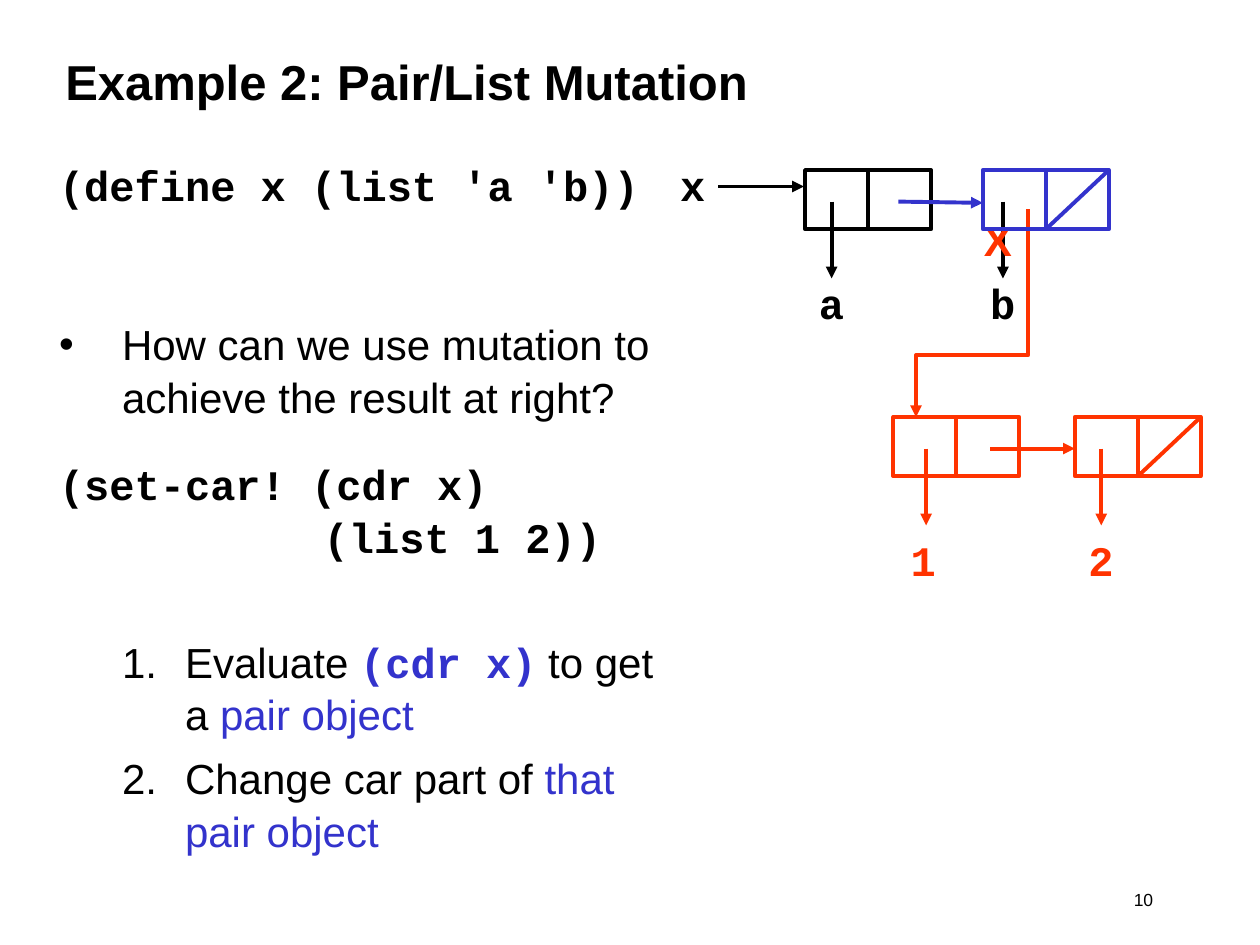
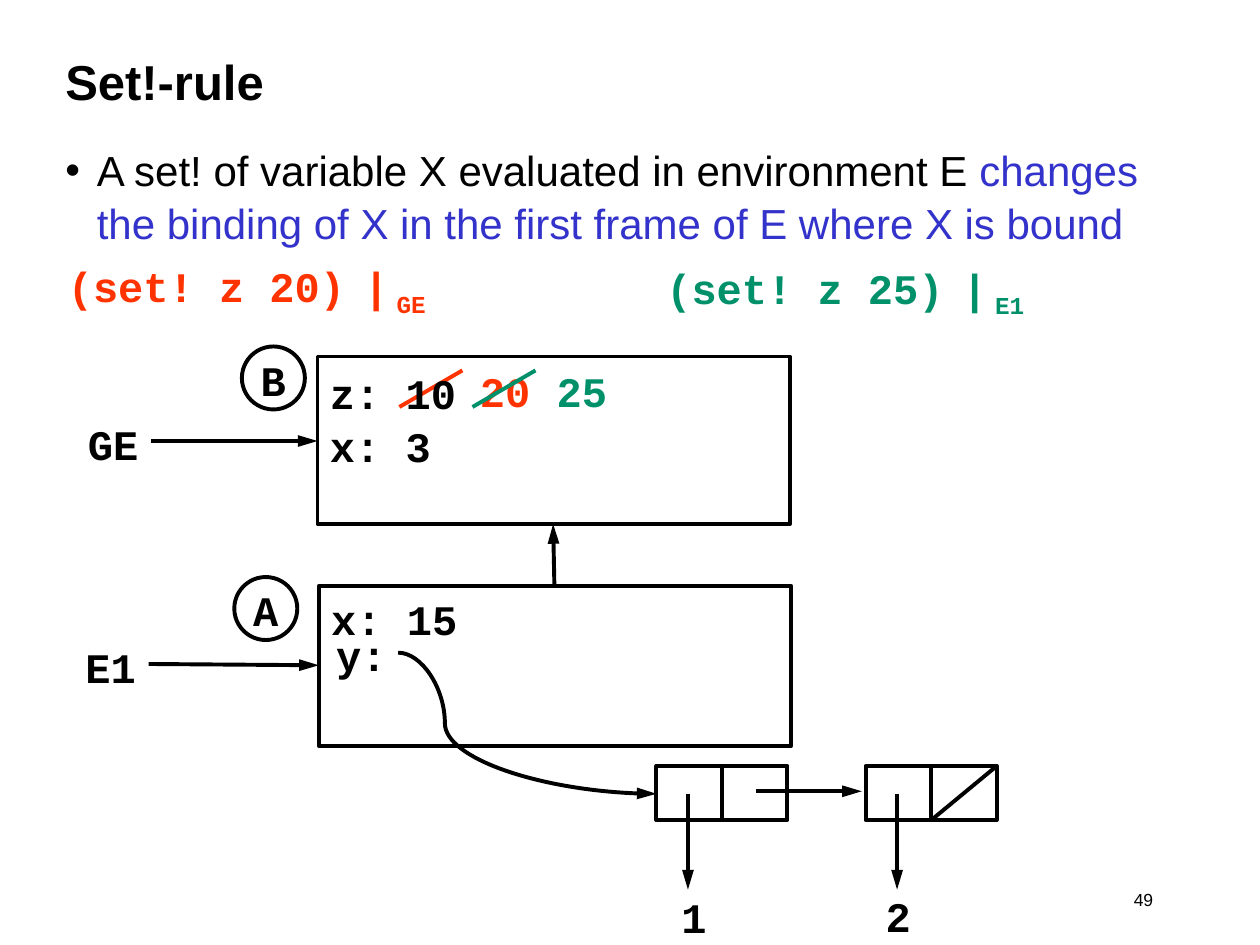
from lxml.etree import SubElement as Sub
from pptx import Presentation
from pptx.dml.color import RGBColor
from pptx.enum.shapes import MSO_CONNECTOR as Conn, MSO_SHAPE as Geo
from pptx.enum.text import MSO_ANCHOR as Anchor, PP_ALIGN as Align
from pptx.oxml.ns import qn
from pptx.util import Pt

PX = 9144  # one px is a hundredth of an inch
BLACK, RED, BLUE, GREEN = "000000", "FF3300", "3333CC", "00906A"
SANS, MONO = "Arial", "Courier New"
hue = RGBColor.from_string

# Run styles: font name, colour, bold
TEXT = (SANS, BLACK, False)
NOTE = (SANS, BLUE, False)
CODE = (MONO, BLACK, True)
CODE_RED = (MONO, RED, True)
CODE_GREEN = (MONO, GREEN, True)


def write(shape, paras, size=24, wrap=True, anchor=Anchor.TOP, top=5):
    """Fill a shape with (format, mark, runs) paragraphs; a mark is (left, hang, bullet)."""
    frame = shape.text_frame
    form = dict(word_wrap=wrap, vertical_anchor=anchor, margin_top=top * PX,
                margin_bottom=5 * PX, margin_left=10 * PX, margin_right=10 * PX)
    for key, val in form.items():
        setattr(frame, key, val)
    for i, (fmt, mark, runs) in enumerate(paras):
        para = frame.add_paragraph() if i else frame.paragraphs[0]
        if mark:
            left, hang, sign = mark
            props = para._p.get_or_add_pPr()
            props.set("marL", str(left * PX))
            props.set("indent", str(-hang * PX))
            if sign == "•":
                Sub(props, qn("a:buFont"), typeface=SANS)
                Sub(props, qn("a:buChar"), char=sign)
            elif sign:
                Sub(props, qn("a:buFont"), typeface=SANS)
                Sub(props, qn("a:buAutoNum"), type=sign)
        for key, val in {"alignment": Align.LEFT, "line_spacing": 1.05, **fmt}.items():
            setattr(para, key, val)
        for words, (face, tint, bold), *base in runs:
            for j, line in enumerate(words.split("\n")):
                if j:
                    para.add_line_break()
                run = para.add_run()
                run.text = line
                for key, val in dict(name=face, bold=bold, size=Pt(size)).items():
                    setattr(run.font, key, val)
                run.font.color.rgb = hue(tint)
                if base:
                    run._r.get_or_add_rPr().set("baseline", str(base[0] * 1000))


def link(slide, ends, tint=BLACK, head=None, kind=Conn.STRAIGHT, bend=None, turn=0):
    """Draw a connector; head is the arrowhead length, bend its adjust value."""
    conn = slide.shapes.add_connector(kind, *(n * PX for n in ends))
    conn.line.color.rgb = hue(tint)
    conn.line.width = Pt(2.25)
    props = conn._element.spPr
    if head:
        Sub(conn.line._get_or_add_ln(), qn("a:tailEnd"), type="triangle", w="med", len=head)
    if bend:
        geom = props.find(qn("a:prstGeom"))
        vals = geom.find(qn("a:avLst"))
        if vals is None:
            vals = Sub(geom, qn("a:avLst"))
        Sub(vals, qn("a:gd"), name="adj1", fmla=f"val {bend}")
    if turn:
        props.find(qn("a:xfrm")).set("rot", str(turn * 60000))
    Sub(props, qn("a:effectLst"))


deck = Presentation()
deck.slide_width, deck.slide_height = 1000 * PX, 750 * PX
pages = []

# Titles and page numbers
for title, number in (("Example 2: Pair/List Mutation", "10"), ("Set!-rule", "49")):
    page = deck.slides.add_slide(deck.slide_layouts[6])
    pages.append(page)
    box = page.shapes.add_textbox(42 * PX, 17 * PX, 850 * PX, 92 * PX)
    write(box, [({}, None, [(title, (SANS, BLACK, True))])], size=28, anchor=Anchor.MIDDLE)
    box = page.shapes.add_textbox(683 * PX, 700 * PX, 242 * PX, 33 * PX)
    write(box, [({"alignment": Align.RIGHT}, None, [(number, TEXT)])], size=10)
pair, rule = pages

# Body text
step = (100, 50, "arabicPeriod")
bodies = [
    (pair, (37, 120, 499, 60), [({}, (50, 50, None), [("(define x (list 'a 'b))", CODE)])]),
    (pair, (37, 246, 499, 85), [
        ({}, (50, 50, "•"),
         [("How can we use mutation to achieve the result at right?", TEXT)])]),
    (pair, (37, 357, 499, 329), [
        ({}, (50, 50, None), [("(set-car! (cdr x)\n        (list 1 2))", CODE)]),
        ({"space_before": Pt(41)}, step,
         [("Evaluate ", TEXT), ("(cdr x)", (MONO, BLUE, True)), (" to get a ", TEXT),
          ("pair object", NOTE)]),
        ({"space_before": Pt(6)}, step,
         [("Change car part of ", TEXT), ("that pair object", NOTE)])]),
    (rule, (42, 108, 925, 108), [
        ({}, (25, 25, "•"),
         [("A set! of variable X evaluated in environment E ", TEXT),
          ("changes the binding of X in the first frame of E where X is bound", NOTE)])]),
]
for x, y, call, env, tint in ((44, 200, "(set! z 20) ", " GE", RED),
                              (519, 201, "(set! z 25) ", " E1", GREEN)):
    code = (MONO, tint, True)
    bodies.append((rule, (x, y, 304, 56), [
        ({}, None, [(call, code), ("|", (SANS, tint, True)), (env, code, -25)])]))
for page, area, paras in bodies:
    write(page.shapes.add_textbox(*(n * PX for n in area)), paras)

# Arrows of the list diagram
for x, y, tint in ((660, 160, BLACK), (796, 160, BLACK), (735, 356, RED), (874, 356, RED)):
    link(pair, (x, y, x, y + 61), tint, "med")
link(pair, (570, 148, 638, 148), BLACK, "med")
link(pair, (786, 356, 853, 356), RED, "med")
link(pair, (689, 204, 854, 293), RED, "med", Conn.ELBOW, 70300, 90)

# Labels, one line each
labels = [
    (pair, 530, 120, "x", CODE), (pair, 640, 213, "a", CODE), (pair, 776, 213, "b", CODE),
    (pair, 771, 163, "X", (SANS, RED, True)),
    (pair, 713, 417, "1", CODE_RED), (pair, 854, 417, "2", CODE_RED),
    (rule, 371, 283, "20", CODE_RED), (rule, 432, 283, "25", CODE_GREEN),
    (rule, 60, 325, "GE", CODE), (rule, 58, 502, "E1", CODE), (rule, 257, 493, "y:", CODE),
    (rule, 531, 701, "1", CODE), (rule, 693, 700, "2", CODE),
]
for page, x, y, word, style in labels:
    box = page.shapes.add_textbox(x * PX, y * PX, (20 + 20 * len(word)) * PX, 50 * PX)
    write(box, [({}, None, [(word, style)])], wrap=False)

# Pairs: outline, divider and, for the last one of a list, the slash
pairs = [
    (pair, 639, 135, 100, 47, BLACK, False), (pair, 780, 135, 100, 47, BLUE, True),
    (pair, 709, 331, 100, 47, RED, False), (pair, 853, 331, 100, 47, RED, True),
    (rule, 521, 608, 104, 43, BLACK, False), (rule, 687, 608, 104, 43, BLACK, True),
]
for page, x, y, w, h, tint, last in pairs:
    cell = page.shapes.add_shape(Geo.RECTANGLE, x * PX, y * PX, w * PX, h * PX)
    cell.shadow.inherit = False
    cell.fill.background()
    cell.line.color.rgb = hue(tint)
    cell.line.width = Pt(2.25)
    mid = x + w // 2
    link(page, (mid, y, mid, y + h), tint)
    if last:
        link(page, (x + w, y, mid, y + h), tint)
link(pair, (713, 160, 780, 161), BLUE, "med")

# Strokes through the old values
for x, tint in ((317, RED), (375, GREEN)):
    link(rule, (x, 323, x + 50, 294), tint)

# Environment frames and their round tags
left, mid = Align.LEFT, Align.CENTER
frames = [
    (Geo.RECTANGLE, (252, 283, 375, 133), "z: 10\nx: 3", left, Anchor.TOP, 7),
    (Geo.RECTANGLE, (253, 465, 375, 127), "x: 15", left, Anchor.TOP, 4),
    (Geo.OVAL, (192, 275, 50, 50), "B", mid, Anchor.MIDDLE, 5),
    (Geo.OVAL, (186, 458, 50, 50), "A", mid, Anchor.MIDDLE, 5),
]
for geo, area, words, side, anchor, top in frames:
    item = rule.shapes.add_shape(geo, *(n * PX for n in area))
    item.shadow.inherit = False
    item.fill.background()
    item.line.color.rgb = hue(BLACK)
    item.line.width = Pt(2.25)
    write(item, [({"alignment": side}, None, [(words, CODE)])],
          wrap=geo == Geo.RECTANGLE, anchor=anchor, top=top)

# Arrows of the environment diagram
for ends in ((120, 350, 252, 350), (118, 527, 253, 528), (440, 465, 439, 416),
             (546, 630, 546, 706), (712, 630, 712, 706), (600, 628, 684, 628)):
    link(rule, ends, BLACK, "lg")
link(rule, (316, 518, 521, 630), BLACK, "lg", Conn.CURVE, 18100)

deck.save("out.pptx")
